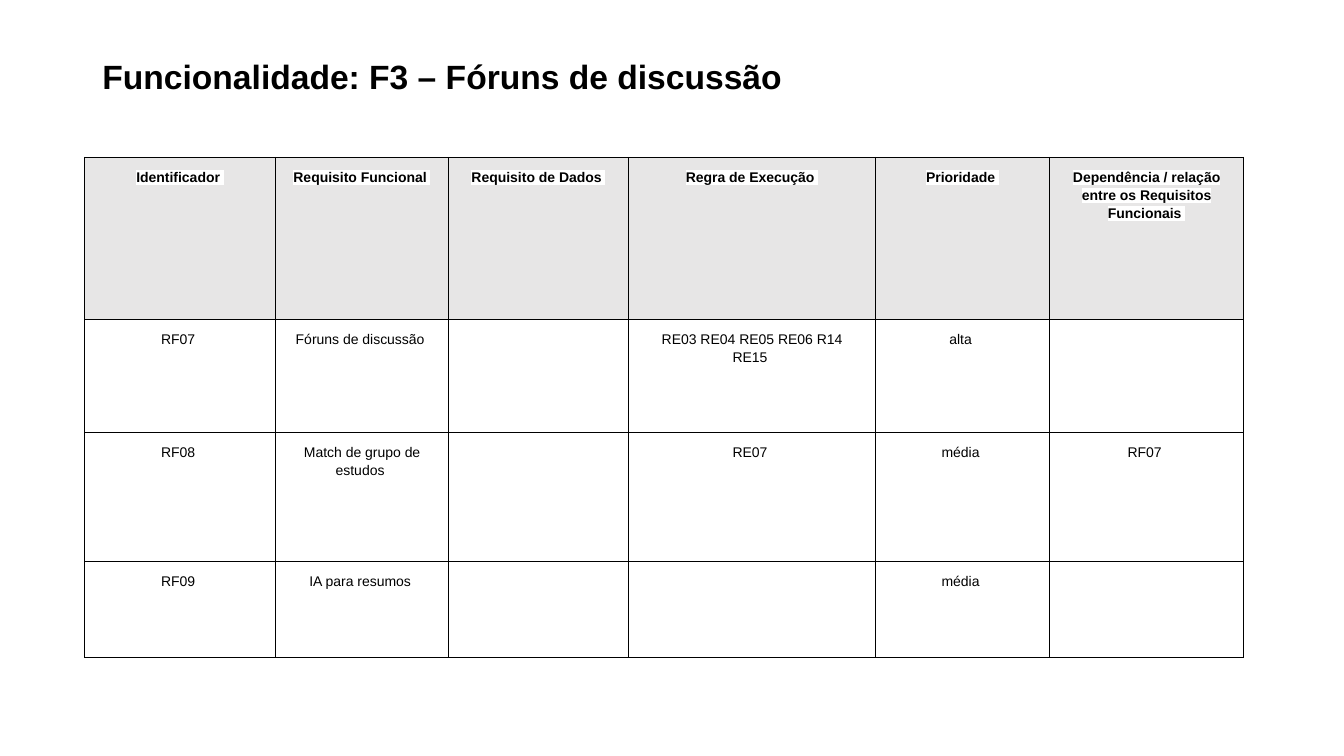
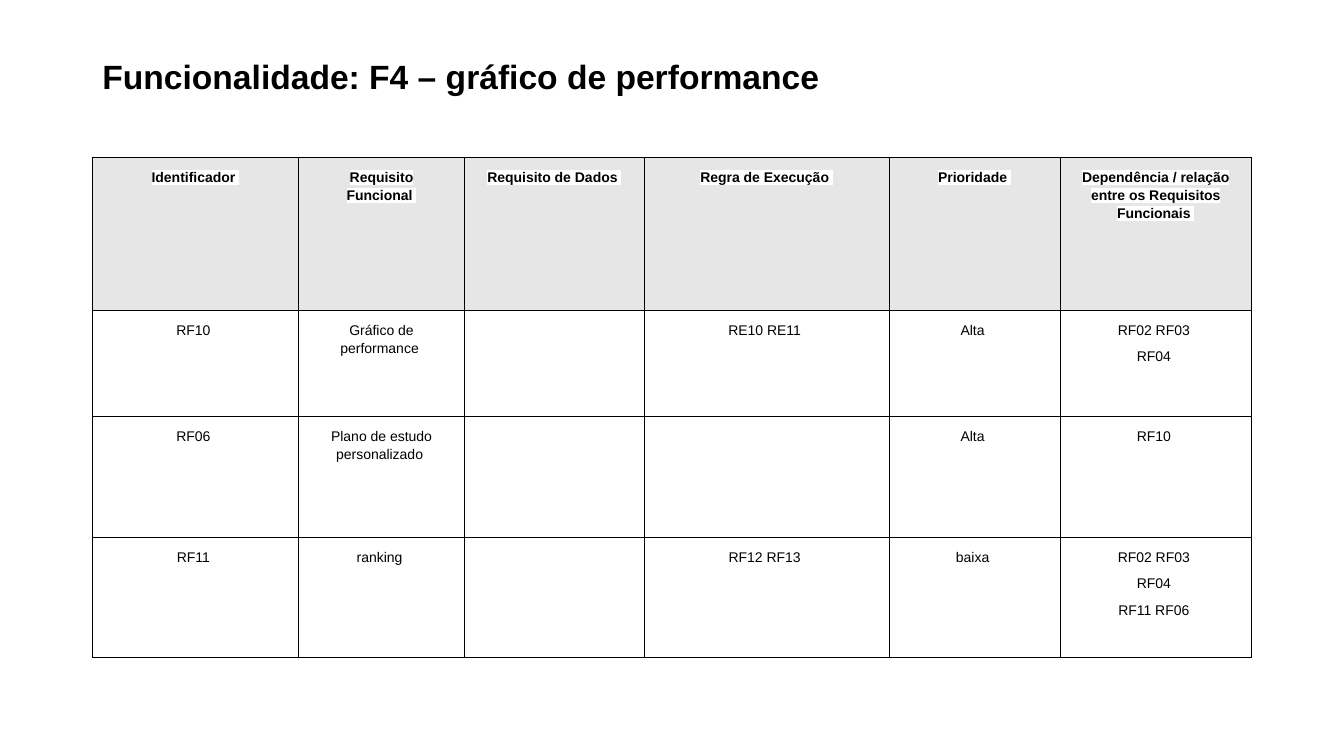
"""Build two slides of functional requirement tables."""
from dataclasses import dataclass

from lxml import etree
from pptx import Presentation
from pptx.dml.color import RGBColor
from pptx.enum.text import MSO_ANCHOR, MSO_AUTO_SIZE, PP_ALIGN
from pptx.oxml.ns import qn
from pptx.util import Pt

CENTER, LEFT = PP_ALIGN.CENTER, PP_ALIGN.LEFT
MIDDLE, TOP = MSO_ANCHOR.MIDDLE, MSO_ANCHOR.TOP
NO_FIT = MSO_AUTO_SIZE.NONE


@dataclass(frozen=True)
class Theme:
    font: str = "Arial"
    ink: str = "000000"
    paper: str = "FFFFFF"
    header: str = "E7E6E6"
    title_size: float = 24
    table_size: float = 10
    border: float = 0.75
    cell_inset: float = 7.2
    indent: float = 5


THEME = Theme()
TABLE_TOP = 112.4
TITLE_BOX = (66, 28.8, 828, 54.8)
HEADERS = [
    "Identificador", "Requisito Funcional", "Requisito de Dados",
    "Regra de Execução", "Prioridade",
    "Dependência / relação entre os Requisitos Funcionais",
]
SLIDES = [
    {
        "title": "Funcionalidade: F3 – Fóruns de discussão",
        "left": 60.4,
        "columns": [136.4, 123.6, 128.6, 176.4, 124.3, 138.7],
        "heights": [115.7, 80.7, 92.1, 68.6],
        "rows": [
            ["RF07", "Fóruns de discussão", "", "RE03 RE04 RE05 RE06 R14 RE15", "alta", ""],
            ["RF08", "Match de grupo de estudos", "", "RE07", "média", "RF07"],
            ["RF09", "IA para resumos", "", "", "média", ""],
        ],
    },
    {
        "title": "Funcionalidade: F4 – gráfico de performance",
        "left": 66,
        "columns": [147.1, 118.8, 128.2, 175, 122.1, 136.8],
        "heights": [109.3, 75.7, 86.4, 85.7],
        "rows": [
            ["RF10", "Gráfico de performance", "", "RE10 RE11", "Alta", "RF02 RF03\nRF04"],
            ["RF06", "Plano de estudo personalizado", "", "", "Alta", "RF10"],
            ["RF11", "ranking", "", "RF12 RF13", "baixa", "RF02 RF03\nRF04\nRF11 RF06"],
        ],
    },
]


def add_run(para, text, size, bold=False, highlight=None):
    run = para.add_run()
    run.text = text
    run.font.size = Pt(size)
    run.font.bold = bold
    run.font.color.rgb = RGBColor.from_string(THEME.ink)
    if highlight:
        mark = etree.SubElement(run.font._element, qn("a:highlight"))
        etree.SubElement(mark, qn("a:srgbClr"), val=highlight)
    run.font.name = THEME.font


def style_cell(cell, fill):
    properties = cell._tc.get_or_add_tcPr()
    for side in ("lnL", "lnR", "lnT", "lnB"):
        line = etree.SubElement(properties, qn(f"a:{side}"), w=str(Pt(THEME.border)))
        paint = etree.SubElement(line, qn("a:solidFill"))
        etree.SubElement(paint, qn("a:srgbClr"), val=THEME.ink)
    cell.fill.solid()
    cell.fill.fore_color.rgb = RGBColor.from_string(fill)
    cell.vertical_anchor = TOP
    cell.margin_left = cell.margin_right = Pt(THEME.cell_inset)
    cell.margin_top = cell.margin_bottom = Pt(THEME.cell_inset)


deck = Presentation()
deck.slide_width, deck.slide_height = Pt(960), Pt(540)
title_only = deck.slide_layouts[5]

for content in SLIDES:
    slide = deck.slides.add_slide(title_only)
    title = slide.shapes.title
    title.left, title.top, title.width, title.height = map(Pt, TITLE_BOX)
    frame = title.text_frame
    frame.auto_size = NO_FIT
    frame.vertical_anchor = MIDDLE
    title_para = frame.paragraphs[0]
    title_para.alignment = LEFT
    title_para.line_spacing = 0.9
    add_run(title_para, content["title"], THEME.title_size, bold=True)

    columns, heights = content["columns"], content["heights"]
    table = slide.shapes.add_table(
        len(heights), len(columns), Pt(content["left"]), Pt(TABLE_TOP),
        Pt(sum(columns)), Pt(sum(heights)),
    ).table
    table.horz_banding = False
    for column, width in zip(table.columns, columns):
        column.width = Pt(width)
    for row, height in zip(table.rows, heights):
        row.height = Pt(height)

    for row_index, texts in enumerate([HEADERS] + content["rows"]):
        is_header = row_index == 0
        for column_index, text in enumerate(texts):
            cell = table.cell(row_index, column_index)
            style_cell(cell, THEME.header if is_header else THEME.paper)
            if not text:
                continue
            frame = cell.text_frame
            for line_index, line_text in enumerate(text.split("\n")):
                para = frame.add_paragraph() if line_index else frame.paragraphs[0]
                para.alignment = CENTER
                para.line_spacing = 1.15
                para.space_before = Pt(6)
                para_properties = para._p.get_or_add_pPr()
                for margin in ("marL", "marR"):
                    para_properties.set(margin, str(Pt(THEME.indent)))
                highlight = THEME.paper if is_header else None
                add_run(para, line_text, THEME.table_size, is_header, highlight)
                add_run(para, " ", THEME.table_size, False, highlight)
    table.first_row = False

deck.save("out.pptx")
